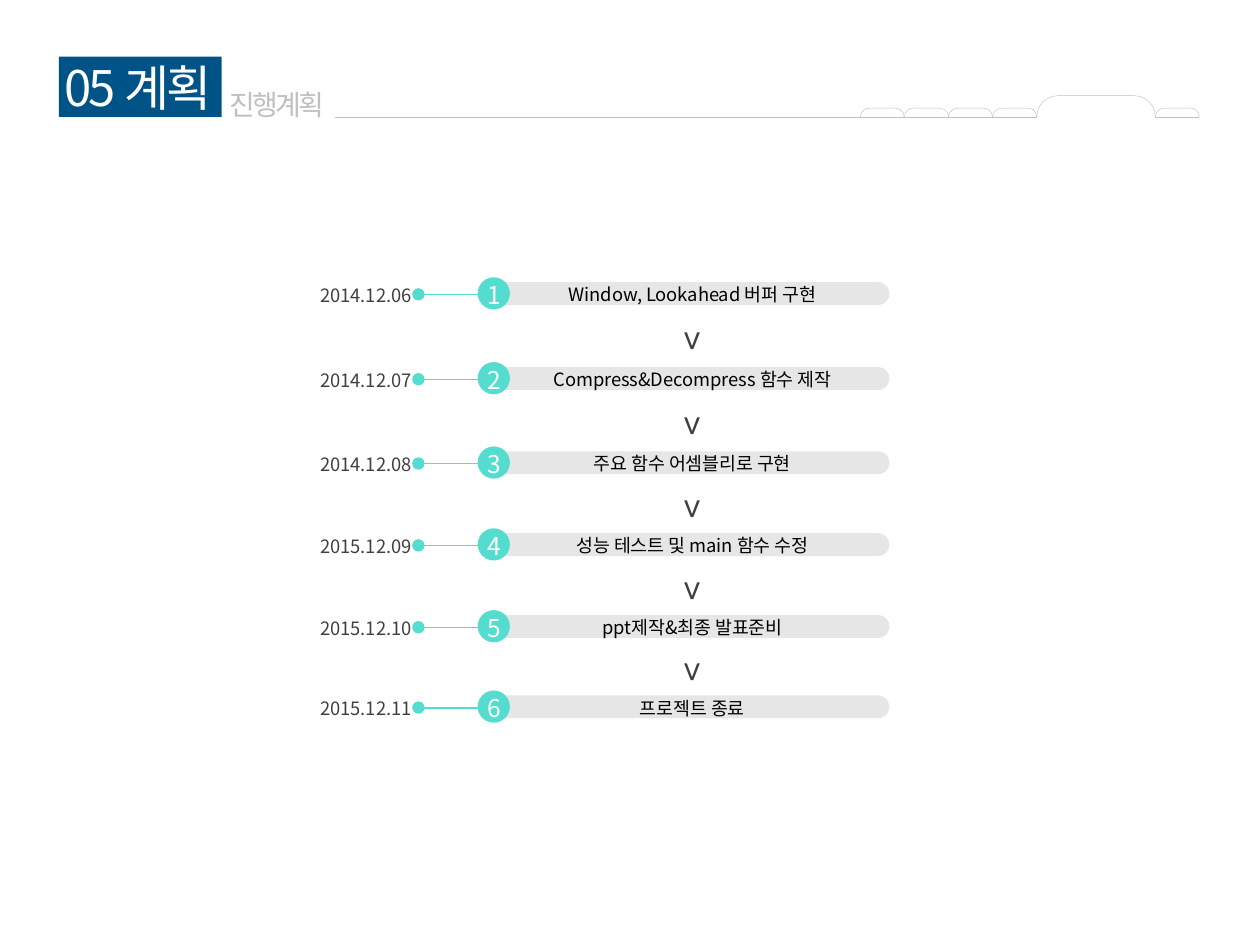
from dataclasses import dataclass
from itertools import pairwise

from lxml.etree import SubElement
from pptx import Presentation
from pptx.dml.color import RGBColor
from pptx.enum.shapes import MSO_CONNECTOR, MSO_SHAPE as Preset
from pptx.enum.text import MSO_AUTO_SIZE as AutoSize, PP_ALIGN as Align
from pptx.oxml.ns import qn
from pptx.util import Cm, Pt


@dataclass(frozen=True)
class Theme:
    font: str = "Noto Sans CJK KR"
    navy: str = "005387"
    teal: str = "54DCCF"
    bar: str = "E6E6E6"
    rule: str = "BFBFBF"
    dark: str = "404040"
    black: str = "000000"
    white: str = "FFFFFF"
    title: float = 28
    subtitle: float = 16
    chevron: float = 20
    number: float = 14
    body: float = 10.5
    hairline: float = 0.25
    thin: float = 0.75


# Date, task and vertical centre of the row in centimetres
STEPS = [
    ("2014.12.06", "Window, Lookahead 버퍼 구현", 5.94),
    ("2014.12.07", "Compress&Decompress 함수 제작", 7.65),
    ("2014.12.08", "주요 함수 어셈블리로 구현", 9.35),
    ("2015.12.09", "성능 테스트 및 main 함수 수정", 11.0),
    ("2015.12.10", "ppt제작&최종 발표준비", 12.65),
    ("2015.12.11", "프로젝트 종료", 14.27),
]
RULE_Y = 2.36
COLUMN_CENTER = 13.96


class SlideBuilder:
    """Draws on one slide in one theme; all lengths are centimetres."""

    def __init__(self, slide, theme):
        self.slide = slide
        self.theme = theme

    def shape(self, preset, left, top, width, height, fill=None, line=None,
              adjustment=None, rotation=0, shapes=None):
        shapes = self.slide.shapes if shapes is None else shapes
        shape = shapes.add_shape(preset, Cm(left), Cm(top), Cm(width), Cm(height))
        shape.shadow.inherit = False
        shape.rotation = rotation
        if adjustment is not None:
            shape.adjustments[0] = adjustment
        if fill:
            shape.fill.solid()
            shape.fill.fore_color.rgb = RGBColor.from_string(fill)
        else:
            shape.fill.background()
        if line:
            shape.line.color.rgb = RGBColor.from_string(line)
            shape.line.width = Pt(self.theme.hairline)
        else:
            shape.line.fill.background()
        return shape

    def text(self, text, left, top, width, height, size, color,
             align=Align.LEFT, spacing=0, rotation=0, shapes=None):
        shapes = self.slide.shapes if shapes is None else shapes
        box = shapes.add_textbox(Cm(left), Cm(top), Cm(width), Cm(height))
        box.rotation = rotation
        box.text_frame.word_wrap = True
        box.text_frame.auto_size = AutoSize.SHAPE_TO_FIT_TEXT
        paragraph = box.text_frame.paragraphs[0]
        paragraph.alignment = align
        run = paragraph.add_run()
        run.text = text
        run.font.size = Pt(size)
        run.font.color.rgb = RGBColor.from_string(color)
        run.font.name = self.theme.font
        properties = run._r.get_or_add_rPr()
        SubElement(properties, qn("a:ea"), typeface=self.theme.font)
        if spacing:
            properties.set("spc", str(int(spacing * 100)))
        return box

    def horizontal_line(self, start, end, y, color, width):
        line = self.slide.shapes.add_connector(
            MSO_CONNECTOR.STRAIGHT, Cm(start), Cm(y), Cm(end), Cm(y))
        line.line.color.rgb = RGBColor.from_string(color)
        line.line.width = Pt(width)
        SubElement(line._element.spPr, qn("a:effectLst"))
        return line

    def tab(self, left, top, width, height, adjustment, shapes):
        """Bracket pair turned upright so that its top half reads as a tab."""
        return self.shape(
            Preset.DOUBLE_BRACKET, left + (width - height) / 2,
            top + (height - width) / 2, height, width, line=self.theme.rule,
            adjustment=adjustment, rotation=90, shapes=shapes)

    def header(self):
        theme = self.theme
        self.shape(Preset.RECTANGLE, 1.19, 1.14, 3.28, 1.22, fill=theme.navy)
        self.text("05 계획", 0.71, 1.04, 4.14, 1.45, theme.title, theme.white,
                  align=Align.CENTER, spacing=-1.5)
        for start, end in ((6.76, 20.9), (23.29, 24.18)):
            self.horizontal_line(start, end, RULE_Y, theme.rule, theme.hairline)
        tabs = self.slide.shapes.add_group_shape().shapes
        self.tab(20.9, 1.93, 2.39, 3.81, 0.178, tabs)
        small_width = 0.89
        first_tab = 20.9 - 4 * small_width
        for left in [first_tab + i * small_width for i in range(4)] + [23.29]:
            self.tab(left, 2.18, small_width, 1.6, 0.205, tabs)
        self.shape(Preset.RECTANGLE, 17.15, 3.07, 7.04, 2.82,
                   fill=theme.white, shapes=tabs)
        self.text("진행계획", 4.37, 1.65, 2.9, 0.94, theme.subtitle, theme.rule,
                  spacing=-1.5)

    def badge(self, number, y):
        group = self.slide.shapes.add_group_shape().shapes
        self.shape(Preset.OVAL, 9.63, y - 0.35, 0.65, 0.65,
                   fill=self.theme.teal, shapes=group)
        self.text(str(number), 9.58, y - 0.42, 0.71, 0.86, self.theme.number,
                  self.theme.white, spacing=-1.5, shapes=group)

    def step(self, number, date, task, y):
        theme = self.theme
        self.text(date, 5.97, y - 0.34, 2.82, 0.71, theme.body, theme.dark,
                  align=Align.CENTER)
        self.shape(Preset.ROUNDED_RECTANGLE, 9.98, y - 0.25, 7.95, 0.46,
                   fill=theme.bar, adjustment=0.5)
        self.text(task, COLUMN_CENTER - 3.55, y - 0.35, 7.1, 0.71, theme.body,
                  theme.black, align=Align.CENTER)
        self.badge(number, y)
        self.horizontal_line(8.43, 9.75, y, theme.teal, theme.thin)
        self.shape(Preset.OVAL, 8.31, y - 0.13, 0.25, 0.25, fill=theme.teal)

    def chevron(self, y):
        self.text(">", COLUMN_CENTER - 0.5, y - 0.56, 1, 1.12,
                  self.theme.chevron, self.theme.dark, rotation=90)


def main():
    presentation = Presentation()
    presentation.slide_width = Cm(25.4)
    presentation.slide_height = Cm(19.05)
    slide = presentation.slides.add_slide(presentation.slide_layouts[6])
    builder = SlideBuilder(slide, Theme())
    builder.header()
    for number, (date, task, y) in enumerate(STEPS, start=1):
        builder.step(number, date, task, y)
    for (*_, upper), (*_, lower) in pairwise(STEPS):
        builder.chevron((upper + lower) / 2 + 0.14)
    presentation.save("out.pptx")


if __name__ == "__main__":
    main()
